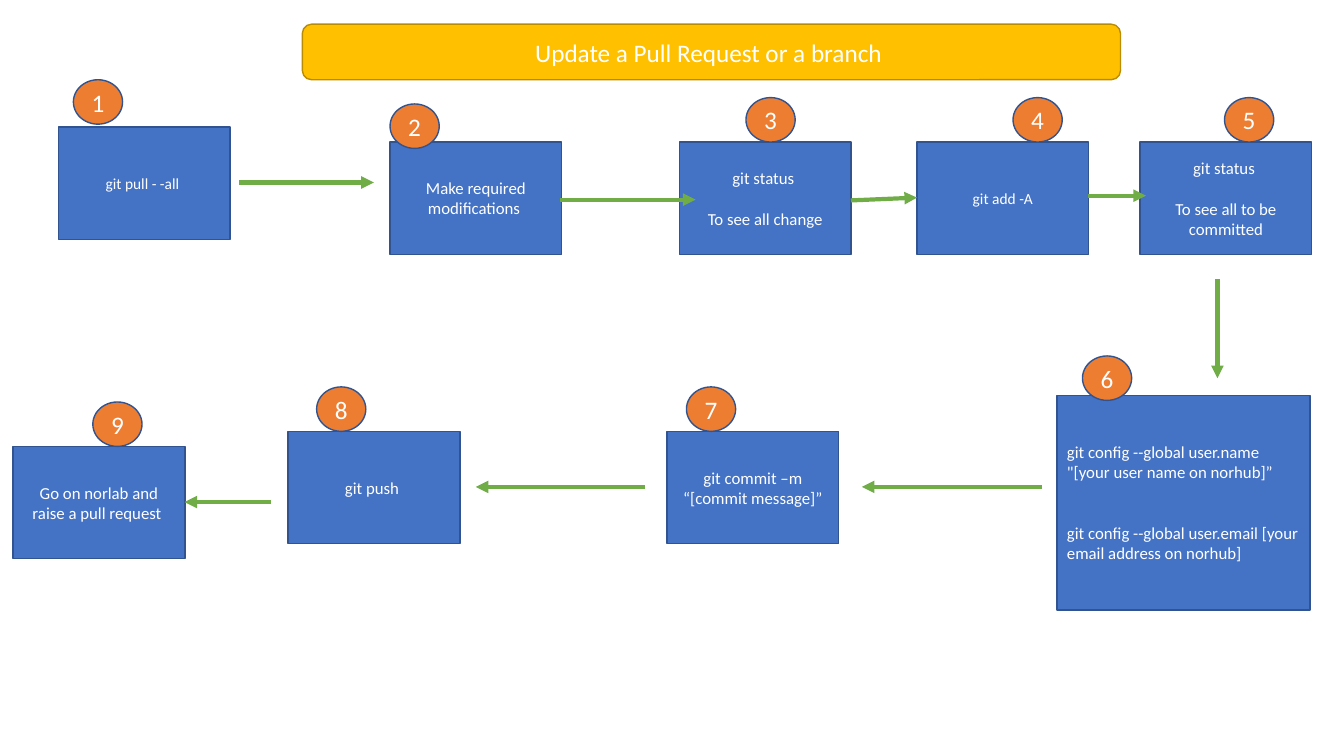
from dataclasses import dataclass

from lxml import etree
from pptx import Presentation
from pptx.dml.color import RGBColor
from pptx.enum import shapes, text
from pptx.oxml import ns
from pptx.shapes.autoshape import Shape
from pptx.slide import Slide
from pptx.util import Cm, Pt


@dataclass(frozen=True)
class Theme:
    font: str = "Calibri"
    white: str = "FFFFFF"
    step: str = "4472C4"
    outline: str = "31538F"
    badge: str = "ED7D31"
    arrow: str = "70AD47"
    banner: str = "FFC000"
    banner_outline: str = "BA8C00"
    heading_size: int = 18
    body_size: int = 12
    command_size: int = 11
    blank_line: float = 14.6
    outline_width: float = 1
    arrow_width: float = 3


THEME = Theme()


@dataclass(frozen=True)
class Step:
    left: float
    top: float
    lines: tuple[str, ...]
    badge_shift: float
    badge_rise: float = 1.12
    width: float = 4.33
    height: float = 2.83
    size: int = THEME.body_size
    align: text.PP_ALIGN = text.PP_ALIGN.CENTER
    gap: float = THEME.blank_line


@dataclass(frozen=True)
class Arrow:
    x1: float
    y1: float
    x2: float
    y2: float


STEPS = (
    Step(1.47, 3.2, ("git pull - -all ",), 0.38, badge_rise=1.19, size=THEME.command_size),
    Step(9.83, 3.58, ("Make required modifications ",), 0, badge_rise=0.96),
    Step(17.12, 3.58, ("git status ", "To see all change"), 1.68),
    Step(23.11, 3.58, ("git add -A",), 2.42, size=THEME.command_size),
    Step(28.73, 3.58, ("git status ", "To see all to be committed"), 2.13),
    Step(
        26.64,
        9.96,
        (
            "git config --global user.name \"[your user name on norhub]”",
            "git config --global user.email [your email address on norhub]",
        ),
        0.64,
        badge_rise=0.99,
        width=6.38,
        height=5.41,
        align=text.PP_ALIGN.LEFT,
        gap=2 * THEME.blank_line,
    ),
    Step(16.81, 10.87, ("git commit –m “[commit message]”",), 0.49),
    Step(7.26, 10.87, ("git push ",), 0.72),
    Step(0.33, 11.25, ("Go on norlab and raise a pull request ",), 2.01),
)

ARROWS = (
    Arrow(6.02, 4.6, 9.42, 4.6),
    Arrow(14.12, 5.03, 17.53, 5.03),
    Arrow(21.44, 5.05, 23.11, 4.98),
    Arrow(27.43, 4.93, 28.88, 4.93),
    Arrow(30.68, 7.04, 30.68, 9.53),
    Arrow(26.26, 12.27, 21.72, 12.27),
    Arrow(16.26, 12.27, 11.99, 12.27),
    Arrow(6.83, 12.65, 4.65, 12.65),
)


def write_text(
    holder: Shape,
    *lines: str,
    size: float = THEME.heading_size,
    align: text.PP_ALIGN = text.PP_ALIGN.CENTER,
    gap: float = 0,
) -> None:
    frame = holder.text_frame
    frame.word_wrap = True
    frame.vertical_anchor = text.MSO_ANCHOR.MIDDLE
    for index, line in enumerate(lines):
        paragraph = frame.add_paragraph() if index else frame.paragraphs[0]
        paragraph.alignment = align
        if index:
            paragraph.space_before = Pt(gap)
        run = paragraph.add_run()
        run.text = line
        run.font.name = THEME.font
        run.font.size = Pt(size)
        run.font.color.rgb = RGBColor.from_string(THEME.white)


def draw_shape(
    slide: Slide,
    kind: shapes.MSO_SHAPE,
    left: float,
    top: float,
    width: float,
    height: float,
    fill: str,
    outline: str = THEME.outline,
) -> Shape:
    drawn = slide.shapes.add_shape(kind, Cm(left), Cm(top), Cm(width), Cm(height))
    drawn.shadow.inherit = False
    drawn.fill.solid()
    drawn.fill.fore_color.rgb = RGBColor.from_string(fill)
    drawn.line.color.rgb = RGBColor.from_string(outline)
    drawn.line.width = Pt(THEME.outline_width)
    return drawn


def draw_step(slide: Slide, step: Step) -> None:
    box = draw_shape(
        slide, shapes.MSO_SHAPE.RECTANGLE, step.left, step.top, step.width, step.height, THEME.step
    )
    write_text(box, *step.lines, size=step.size, align=step.align, gap=step.gap)


def draw_badge(slide: Slide, number: int, step: Step) -> None:
    badge = draw_shape(
        slide,
        shapes.MSO_SHAPE.OVAL,
        step.left + step.badge_shift,
        step.top - step.badge_rise,
        1.24,
        1.12,
        THEME.badge,
    )
    write_text(badge, str(number))


def draw_arrow(slide: Slide, arrow: Arrow) -> None:
    connector = slide.shapes.add_connector(
        shapes.MSO_CONNECTOR.STRAIGHT, Cm(arrow.x1), Cm(arrow.y1), Cm(arrow.x2), Cm(arrow.y2)
    )
    connector.line.color.rgb = RGBColor.from_string(THEME.arrow)
    connector.line.width = Pt(THEME.arrow_width)
    etree.SubElement(connector.line._get_or_add_ln(), ns.qn("a:tailEnd"), type="triangle")
    etree.SubElement(connector._element.spPr, ns.qn("a:effectLst"))


def main() -> None:
    deck = Presentation()
    deck.slide_width, deck.slide_height = Cm(33.87), Cm(19.05)
    slide = deck.slides.add_slide(deck.slide_layouts[6])

    banner = draw_shape(
        slide,
        shapes.MSO_SHAPE.ROUNDED_RECTANGLE,
        7.62,
        0.61,
        20.62,
        1.4,
        THEME.banner,
        THEME.banner_outline,
    )
    write_text(banner, "Update a Pull Request or a branch ")

    for step in STEPS:
        draw_step(slide, step)
    for arrow in ARROWS:
        draw_arrow(slide, arrow)
    for number, step in enumerate(STEPS, start=1):
        draw_badge(slide, number, step)

    deck.save("out.pptx")


if __name__ == "__main__":
    main()
